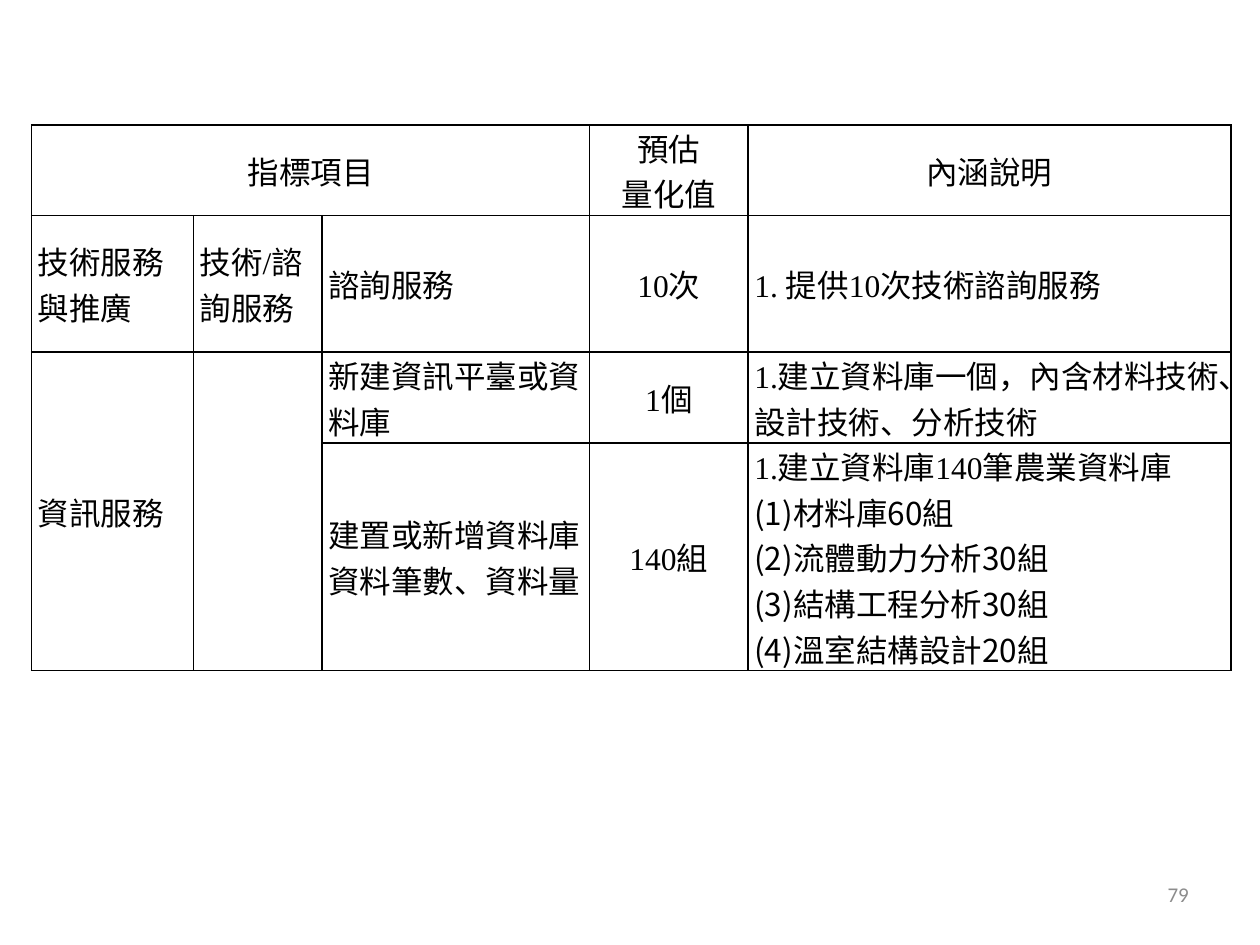
from dataclasses import dataclass

from lxml.etree import SubElement
from pptx import Presentation
from pptx.dml.color import RGBColor
from pptx.enum.text import MSO_ANCHOR as Anchor, PP_ALIGN as Align
from pptx.oxml.ns import qn
from pptx.util import Pt

COLORS = {"ink": "000000", "number": "8C8C8C"}
SERIF = "Times New Roman"
SANS = "Noto Sans CJK SC"
COLUMN_WIDTHS = (92.5, 73.5, 153, 90.5, 276)
ROW_HEIGHTS = (52, 78, 52, 130)
BORDER_SIDES = ("a:lnL", "a:lnR", "a:lnT", "a:lnB")


@dataclass
class Entry:
    row: int
    column: int
    text: str = ""
    align: Align = Align.LEFT
    rows: int = 1
    columns: int = 1
    serif_lines: int = 9


ENTRIES = (
    Entry(0, 0, "指標項目", Align.CENTER, columns=3),
    Entry(0, 3, "預估\n量化值", Align.CENTER),
    Entry(0, 4, "內涵說明", Align.CENTER),
    Entry(1, 0, "技術服務與推廣"),
    Entry(1, 1, "技術/諮詢服務"),
    Entry(1, 2, "諮詢服務"),
    Entry(1, 3, "10次", Align.CENTER),
    Entry(1, 4, "1. 提供10次技術諮詢服務"),
    Entry(2, 0, "資訊服務", rows=2),
    Entry(2, 1, rows=2),
    Entry(2, 2, "新建資訊平臺或資料庫"),
    Entry(2, 3, "1個", Align.CENTER),
    Entry(2, 4, "1.建立資料庫一個，內含材料技術、設計技術、分析技術"),
    Entry(3, 2, "建置或新增資料庫資料筆數、資料量"),
    Entry(3, 3, "140組", Align.CENTER),
    Entry(3, 4, "1.建立資料庫140筆農業資料庫\n(1)材料庫60組\n(2)流體動力分析30組\n"
                "(3)結構工程分析30組\n(4)溫室結構設計20組", serif_lines=1),
)


def style_para(para, align: Align, face: str, size: float, color: str) -> None:
    para.alignment = align
    for span in para.runs:
        span.font.name = face
        span.font.size = Pt(size)
        span.font.color.rgb = RGBColor.from_string(COLORS[color])


def style_cell(cell) -> None:
    properties = cell._tc.get_or_add_tcPr()
    for side in BORDER_SIDES:
        line = SubElement(properties, qn(side), w=str(Pt(1)))
        fill = SubElement(line, qn("a:solidFill"))
        SubElement(fill, qn("a:srgbClr"), val=COLORS["ink"])
    cell.fill.background()
    cell.vertical_anchor = Anchor.MIDDLE
    cell.margin_left = cell.margin_right = Pt(3.6)
    cell.margin_top = cell.margin_bottom = Pt(0)


def fill_entry(table, entry: Entry) -> None:
    cell = table.cell(entry.row, entry.column)
    if entry.rows > 1 or entry.columns > 1:
        cell.merge(table.cell(entry.row + entry.rows - 1, entry.column + entry.columns - 1))
    cell.text_frame.text = entry.text
    for index, para in enumerate(cell.text_frame.paragraphs):
        face = SERIF if index < entry.serif_lines else SANS
        style_para(para, entry.align, face, 18, "ink")


def add_indicator_table(page) -> None:
    frame = page.shapes.add_table(len(ROW_HEIGHTS), len(COLUMN_WIDTHS), Pt(18), Pt(71.3),
                                  Pt(sum(COLUMN_WIDTHS)), Pt(sum(ROW_HEIGHTS)))
    table = frame.table
    table.first_row = table.horz_banding = False
    for column, width in zip(table.columns, COLUMN_WIDTHS):
        column.width = Pt(width)
    for row, height in zip(table.rows, ROW_HEIGHTS):
        row.height = Pt(height)
    for cell in table.iter_cells():
        style_cell(cell)
    for entry in ENTRIES:
        fill_entry(table, entry)


def add_page_number(page, number: str) -> None:
    box = page.shapes.add_textbox(Pt(518.4), Pt(496.8), Pt(168), Pt(28.8))
    box.text_frame.word_wrap = True
    box.text_frame.vertical_anchor = Anchor.MIDDLE
    box.text_frame.text = number
    style_para(box.text_frame.paragraphs[0], Align.RIGHT, "Calibri", 12, "number")


def main() -> None:
    deck = Presentation()
    deck.slide_width, deck.slide_height = Pt(720), Pt(540)
    page = deck.slides.add_slide(deck.slide_layouts[6])
    add_page_number(page, "79")
    add_indicator_table(page)
    deck.save("out.pptx")


if __name__ == "__main__":
    main()
